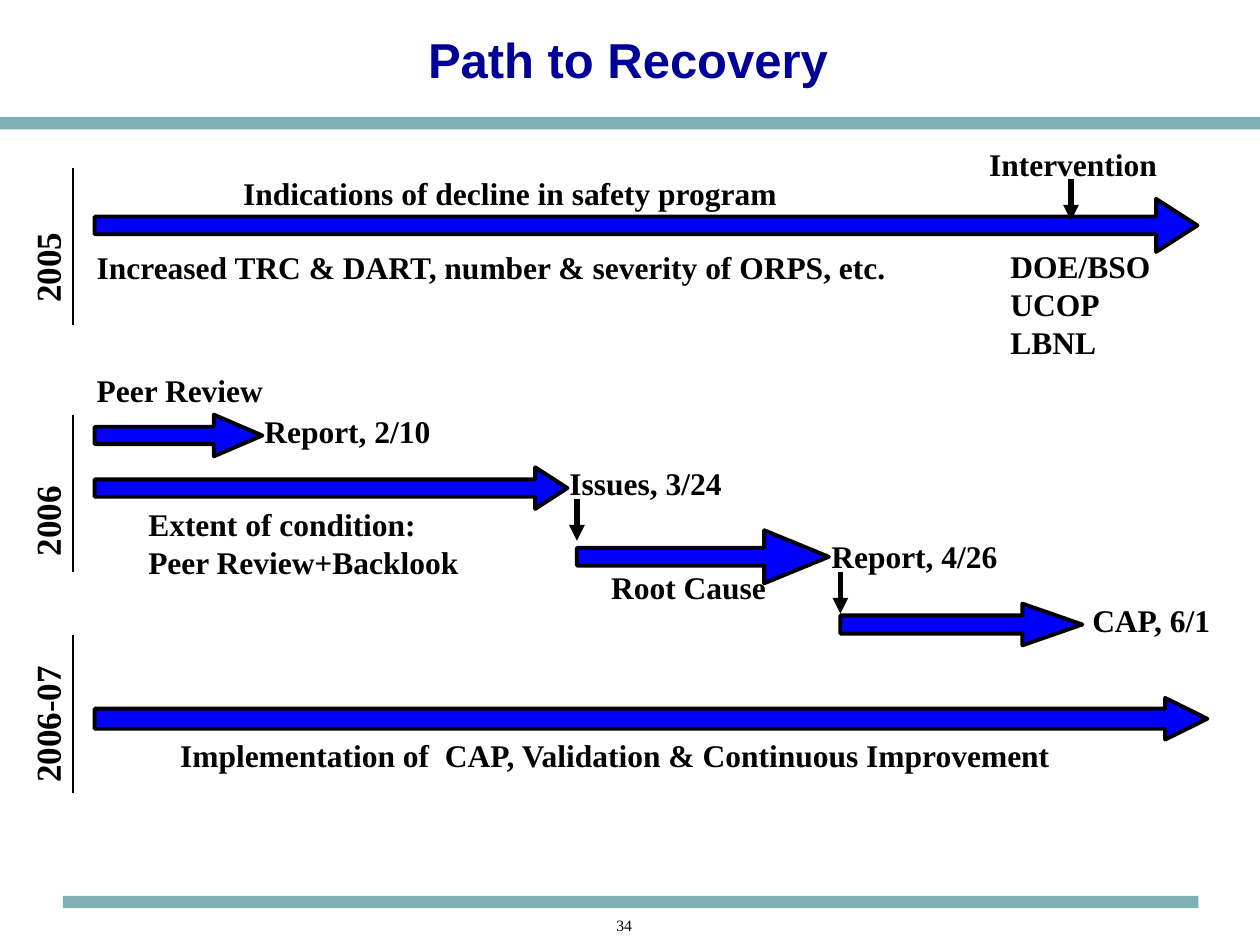
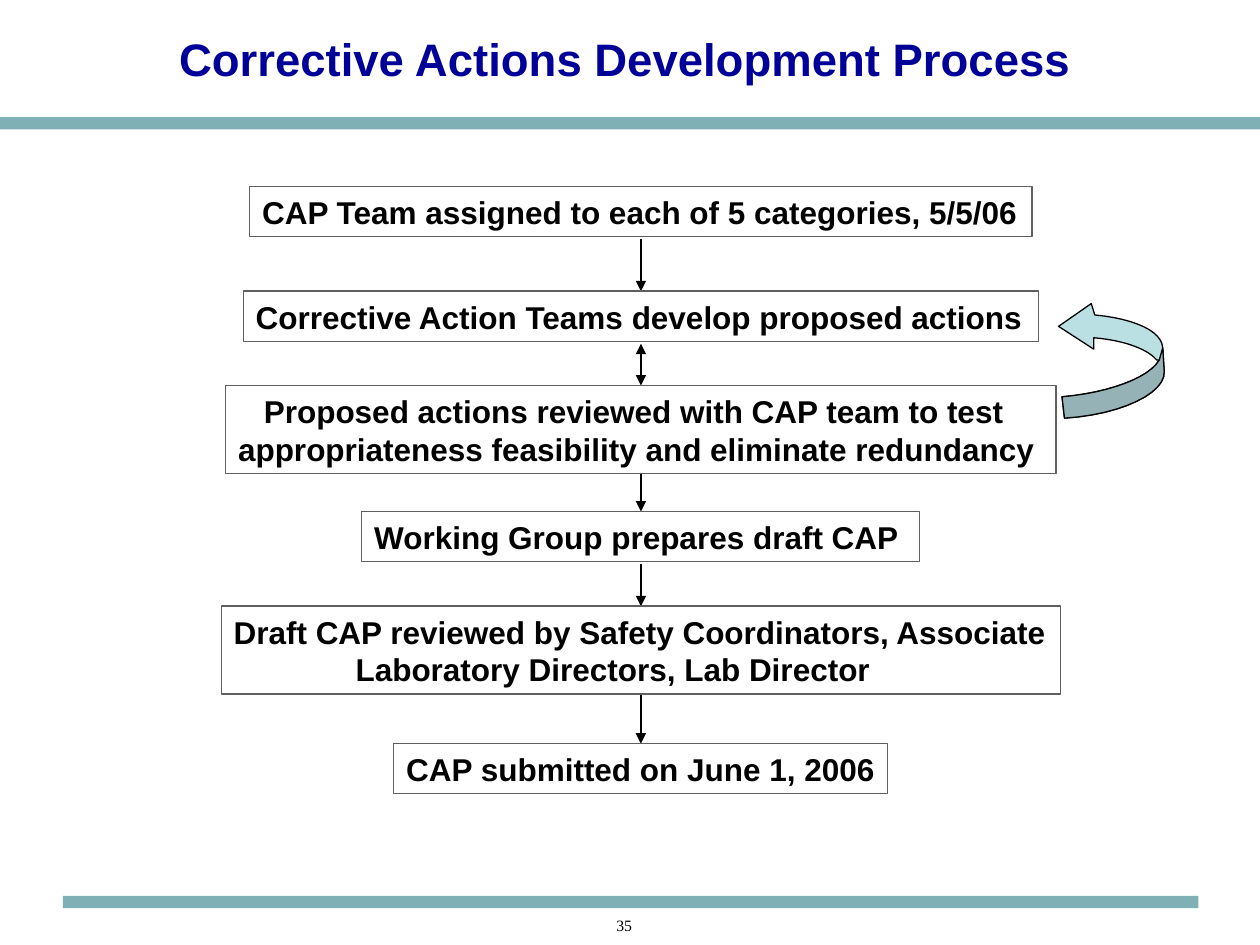
from lxml import etree
from pptx import Presentation
from pptx.dml.color import RGBColor
from pptx.enum.shapes import MSO_CONNECTOR, MSO_SHAPE
from pptx.enum.text import MSO_ANCHOR, PP_ALIGN
from pptx.oxml.ns import qn
from pptx.util import Cm, Pt

RECT, RIGHT_ARROW = MSO_SHAPE.RECTANGLE, MSO_SHAPE.RIGHT_ARROW
STRAIGHT = MSO_CONNECTOR.STRAIGHT
LEFT, CENTER = PP_ALIGN.LEFT, PP_ALIGN.CENTER
TOP, MIDDLE = MSO_ANCHOR.TOP, MSO_ANCHOR.MIDDLE

COLORS = {
    "band": "7FB0B5", "title": "000099", "arrow": "0000FF", "ink": "000000",
    "box": "FFFFFF", "frame": "5F5F5F", "loop": "BBE0E3", "loop_shade": "95B3B6",
}
SERIF, SANS = "Times New Roman", "Arial"
LABEL = {"name": SERIF, "size": Pt(18), "bold": True}
YEAR = {"name": SERIF, "size": Pt(20), "bold": True}
STEP = {"name": SANS, "size": Pt(18), "bold": True}
NUMBER = {"name": SERIF, "size": Pt(9), "bold": False}

BANDS = [(0, 2.36, 25.4, 0.25), (1.27, 18.06, 22.89, 0.25)]
NUMBER_AT = (9.32, 18.34, 5.92, 0.51)

RECOVERY = {"title": "Path to Recovery", "size": 28, "at": (1.27, 0.05, 22.78, 2.29), "number": "34"}
PROCESS = {"title": "Corrective Actions Development Process", "size": 26,
           "at": (0.64, 0.03, 23.93, 2.29), "number": "35"}

PHASES = [
    ((1.91, 8.36, 3.38, 0.84), (0.417, 1.164)),
    ((1.91, 4.01, 22.23, 1.07), (0.333, 0.779)),
    ((11.63, 10.69, 5.08, 1.07), (0.333, 1.218)),
    ((1.91, 9.42, 9.53, 0.84), (0.417, 0.773)),
    ((16.94, 12.17, 4.88, 0.84), (0.438, 1.437)),
    ((1.91, 14.07, 22.43, 0.84), (0.483, 1.012)),
]
LABELS = [
    (4.65, 3.38, 12.5, ["Indications of decline in safety program"]),
    (1.7, 4.88, 19.89, ["Increased TRC & DART, number & severity of ORPS, etc."]),
    (19.69, 2.79, 4.01, ["Intervention"]),
    (20.12, 4.85, 3.38, ["DOE/BSO", "UCOP", "LBNL"]),
    (1.7, 7.34, 4.24, ["Peer Review"]),
    (5.08, 8.18, 4.01, ["Report, 2/10"]),
    (11.23, 9.22, 3.61, ["Issues, 3/24"]),
    (2.74, 10.06, 12.7, ["Extent of condition:", "Peer Review+Backlook"]),
    (12.07, 11.33, 3.81, ["Root Cause"]),
    (16.51, 10.69, 4.01, ["Report, 4/26"]),
    (21.77, 11.99, 3.23, ["CAP, 6/1"]),
    (3.38, 14.71, 18.85, ["Implementation of  CAP, Validation & Continuous Improvement"]),
]
DROPS, DROP_LENGTH = [(21.59, 3.61), (11.63, 10.06), (16.94, 11.53)], 0.84
YEARS = [("2005", 3.38, 6.35, 5.13), ("2006", 8.36, 11.46, 5.13), ("2006-07", 12.8, 16.03, 3.86)]
YEAR_X, YEAR_HEIGHT, RULE_X, RULE_LENGTH = 0.95, 1.12, 1.47, 3.18

STEPS = [
    (3.76, 15.77, ["CAP Team assigned to each of 5 categories, 5/5/06"], [0]),
    (5.87, 16.03, ["Corrective Action Teams develop proposed actions"], [0]),
    (7.77, 16.74, ["Proposed actions reviewed with CAP team to test",
                   "appropriateness feasibility and eliminate redundancy"], [0.52, 0]),
    (10.31, 11.25, ["Working Group prepares draft CAP"], [0]),
    (12.22, 16.92, ["Draft CAP reviewed by Safety Coordinators, Associate",
                    "Laboratory Directors, Lab Director"], [0, 2.46]),
    (14.99, 9.96, ["CAP submitted on June 1, 2006"], [0]),
]
STEP_CENTER, TWO_WAY = 12.92, 1

LOOP_START = (21.46, 8.43)
LOOP_OUTER = [[(22.61, 8.36), (23.5, 7.92), (23.47, 7.49)], [(23.44, 7.01)]]
LOOP_HEAD = [
    [(23.42, 6.68), (22.89, 6.43), (22.07, 6.35)],
    [(22, 6.12)], [(21.34, 6.58)], [(22.05, 7.04)], [(22.05, 6.81)],
    [(22.66, 6.86), (23.14, 7.04), (23.32, 7.26)],
]
LOOP_INNER = [[(23.37, 7.26)], [(23.16, 7.62), (22.35, 7.92), (21.41, 8)]]


def rgb(name):
    return RGBColor.from_string(COLORS[name])


def text_height(lines):
    return 0.25 + 0.76 * len(lines)


def paint(sp, fill, line=None, width=0.75):
    sp.shadow.inherit = False
    sp.fill.solid()
    sp.fill.fore_color.rgb = rgb(fill)
    if line:
        sp.line.color.rgb = rgb(line)
        sp.line.width = Pt(width)
    else:
        sp.line.fill.background()
    return sp


def add_shape(s, kind, at, *style):
    return paint(s.shapes.add_shape(kind, *map(Cm, at)), *style)


def write(sp, lines, font, color="ink", align=LEFT, anchor=TOP, indents=None, right=0.25):
    tf = sp.text_frame
    frame = {"word_wrap": True, "vertical_anchor": anchor, "margin_left": Cm(0.25),
             "margin_right": Cm(right), "margin_top": Cm(0.13), "margin_bottom": Cm(0.13)}
    for key, value in frame.items():
        setattr(tf, key, value)
    for i, line in enumerate(lines):
        p = tf.add_paragraph() if i else tf.paragraphs[0]
        p.alignment = align
        if indents and indents[i]:
            p._p.get_or_add_pPr().set("marL", str(Cm(indents[i])))
        r = p.add_run()
        r.text = line
        for key, value in font.items():
            setattr(r.font, key, value)
        r.font.color.rgb = rgb(color)


def add_text(s, at, lines, font, **options):
    sp = s.shapes.add_textbox(*map(Cm, at))
    write(sp, lines, font, **options)
    return sp


def add_line(s, x, y1, y2, width, ends=()):
    c = s.shapes.add_connector(STRAIGHT, Cm(x), Cm(y1), Cm(x), Cm(y2))
    c.line.color.rgb = rgb("ink")
    c.line.width = Pt(width)
    for end in ends:
        etree.SubElement(c.line._get_or_add_ln(), qn(f"a:{end}"), type="triangle")
    etree.SubElement(c._element.spPr, qn("a:effectLst"))


def trace(start, segments, steps=12):
    points = [start]
    for segment in segments:
        if len(segment) == 1:
            points += segment
            continue
        curve = [points[-1], *segment]
        for k in range(1, steps + 1):
            t = k / steps
            weights = ((1 - t) ** 3, 3 * t * (1 - t) ** 2, 3 * t * t * (1 - t), t ** 3)
            points.append(tuple(sum(w * q[axis] for w, q in zip(weights, curve)) for axis in (0, 1)))
    return [(Cm(x), Cm(y)) for x, y in points]


def add_outline(s, segments, fill):
    start, *rest = trace(LOOP_START, segments)
    builder = s.shapes.build_freeform(*start)
    builder.add_line_segments(rest, close=True)
    paint(builder.convert_to_shape(), fill, "ink")


def add_slide(prs, page):
    s = prs.slides.add_slide(prs.slide_layouts[6])
    for band in BANDS:
        add_shape(s, RECT, band, "band")
    font = {"name": SANS, "size": Pt(page["size"]), "bold": True}
    add_text(s, page["at"], [page["title"]], font, color="title", align=CENTER, anchor=MIDDLE)
    add_text(s, NUMBER_AT, [page["number"]], NUMBER, align=CENTER, indents=[0.61])
    return s


def draw_recovery(prs):
    s = add_slide(prs, RECOVERY)
    for at, adjustments in PHASES:
        sp = add_shape(s, RIGHT_ARROW, at, "arrow", "ink", 2.25)
        for i, value in enumerate(adjustments):
            sp.adjustments[i] = value
    for x, y, width, lines in LABELS:
        add_text(s, (x, y, width, text_height(lines)), lines, LABEL)
    for x, y in DROPS:
        add_line(s, x, y, y + DROP_LENGTH, 3, ["tailEnd"])
    for year, rule_top, bottom, length in YEARS:
        at = (YEAR_X - length / 2, bottom - length / 2 - YEAR_HEIGHT / 2, length, YEAR_HEIGHT)
        add_text(s, at, [year], YEAR).rotation = 270
        add_line(s, RULE_X, rule_top, rule_top + RULE_LENGTH, 1)


def draw_process(prs):
    s = add_slide(prs, PROCESS)
    for i, (step, following) in enumerate(zip(STEPS, STEPS[1:])):
        start = step[0] + (1.06 if len(step[2]) == 1 else 1.7)
        ends = ["headEnd", "tailEnd"] if i == TWO_WAY else ["tailEnd"]
        add_line(s, STEP_CENTER, start, following[0], 0.75, ends)
    for top, width, lines, indents in STEPS:
        at = (STEP_CENTER - width / 2, top, width, text_height(lines))
        write(add_shape(s, RECT, at, "box", "frame"), lines, STEP, indents=indents, right=0)
    add_outline(s, LOOP_OUTER + LOOP_HEAD + LOOP_INNER, "loop")
    add_outline(s, LOOP_OUTER + LOOP_INNER, "loop_shade")


def main():
    prs = Presentation()
    prs.slide_width, prs.slide_height = Cm(25.4), Cm(19.05)
    draw_recovery(prs)
    draw_process(prs)
    prs.save("out.pptx")


if __name__ == "__main__":
    main()
